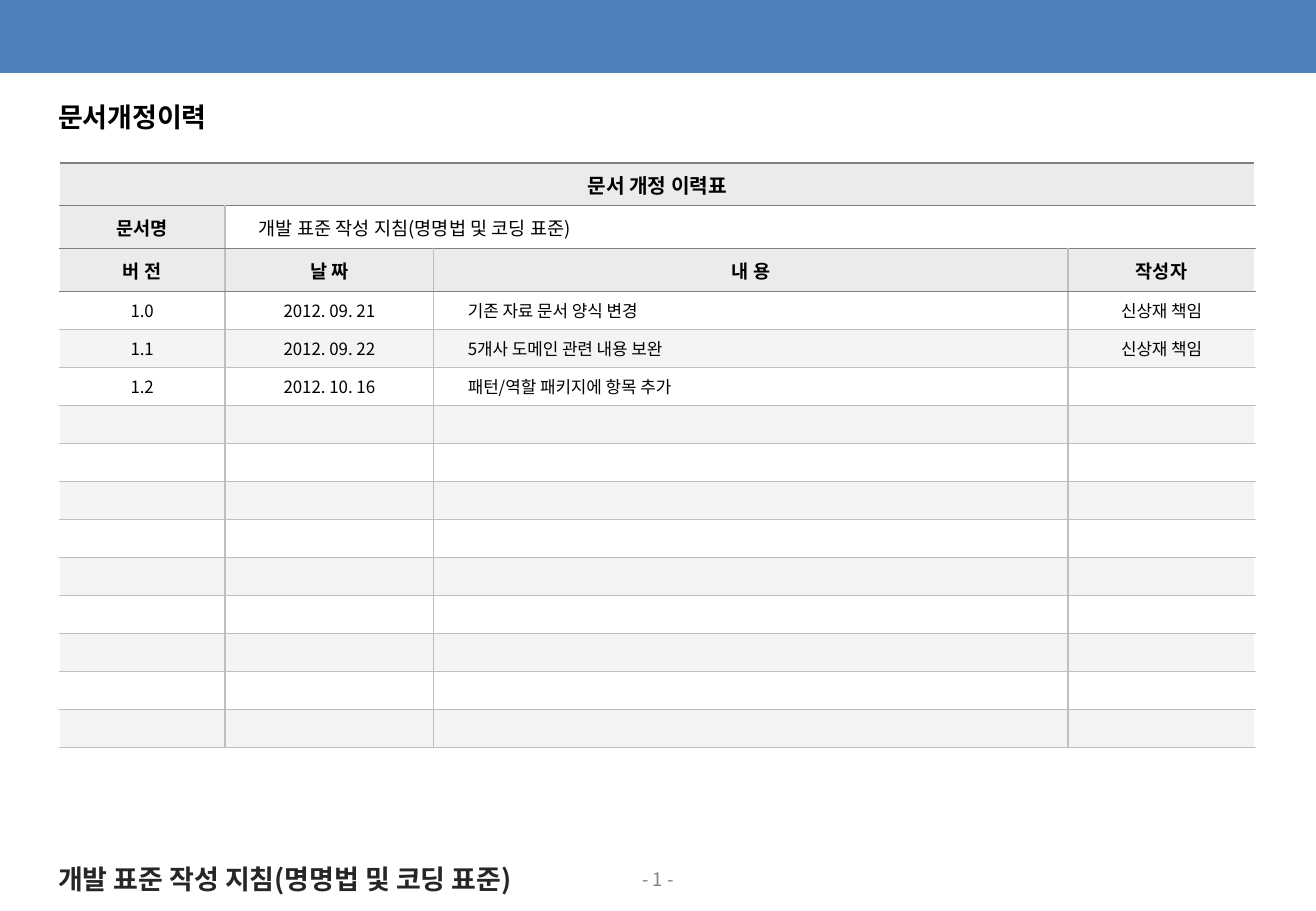
from lxml import etree
from pptx import Presentation
from pptx import util as u
from pptx.dml.color import RGBColor
from pptx.enum import shapes, text
from pptx.oxml import ns

FACE = "Noto Sans CJK KR"
BLUE = RGBColor(0x4F, 0x81, 0xBD)
BLACK = RGBColor(0, 0, 0)
INK = RGBColor(0x26, 0x26, 0x26)
GRAY = RGBColor(0x80, 0x80, 0x80)
LINE = RGBColor(0xBF, 0xBF, 0xBF)
WHITE = RGBColor(0xFF, 0xFF, 0xFF)
HEAD = RGBColor(0xE9, 0xEB, 0xED)
BAND = RGBColor(0xF3, 0xF4, 0xF5)

TITLE = "개발 표준 작성 지침(명명법 및 코딩 표준)"
WIDTHS = [1.36, 1.72, 5.22, 1.54]
TOPS = 3
COUNT = 15
ROWS = [
    ["문서 개정 이력표"],
    ["문서명", TITLE],
    ["버 전", "날 짜", "내 용", "작성자"],
    ["1.0", "2012. 09. 21", "기존 자료 문서 양식 변경", "신상재 책임"],
    ["1.1", "2012. 09. 22", "5개사 도메인 관련 내용 보완", "신상재 책임"],
    ["1.2", "2012. 10. 16", "패턴/역할 패키지에 항목 추가"],
]


def apply(item, form):
    """Set each format value on the item."""
    for key, value in form.items():
        setattr(item, key, value)


def write(para, words, size, color, bold):
    """Write one styled run into a paragraph."""
    run = para.add_run()
    run.text = words
    apply(run.font, {"size": u.Pt(size), "bold": bold, "name": FACE})
    run.font.color.rgb = color
    etree.SubElement(run._r.get_or_add_rPr(), ns.qn("a:ea"), typeface=FACE)


def label(slide, spot, words, size, color, bold=True, wrap=False, align=text.PP_ALIGN.LEFT):
    """Add a text box with a single line."""
    frame = slide.shapes.add_textbox(*map(u.Inches, spot)).text_frame
    apply(frame, {"word_wrap": wrap, "auto_size": text.MSO_AUTO_SIZE.SHAPE_TO_FIT_TEXT})
    frame.paragraphs[0].alignment = align
    write(frame.paragraphs[0], words, size, color, bold)


def banner(slide, width):
    """Add the blue band along the top edge."""
    band = slide.shapes.add_shape(shapes.MSO_SHAPE.RECTANGLE, 0, 0, width, u.Inches(0.6))
    band.shadow.inherit = False
    band.fill.solid()
    band.fill.fore_color.rgb = BLUE
    band.line.fill.background()


def border(cell, sides):
    """Draw the left, right, top and bottom lines of a cell."""
    props = cell._tc.get_or_add_tcPr()
    for spot, (side, color) in enumerate(sides.items()):
        line = etree.Element(ns.qn(f"a:ln{side}"), w=str(u.Pt(1)))
        fill = etree.SubElement(line, ns.qn("a:solidFill"))
        etree.SubElement(fill, ns.qn("a:srgbClr"), val=str(color))
        props.insert(spot, line)


def paint(cell, row, col):
    """Fill and frame a cell by its place in the grid."""
    shade = None
    if row < TOPS and (row, col) != (1, 1):
        shade = HEAD
    elif row > TOPS and row % 2 == 0:
        shade = BAND
    if shade is None:
        cell.fill.background()
    else:
        cell.fill.solid()
        cell.fill.fore_color.rgb = shade
    last = col + cell.span_width >= len(WIDTHS) if cell.is_merge_origin else col == len(WIDTHS) - 1
    border(cell, {
        "L": WHITE if col == 0 else LINE,
        "R": WHITE if last else LINE,
        "T": GRAY if row <= TOPS else LINE,
        "B": GRAY if row < TOPS else LINE,
    })


def enter(cell, row, col):
    """Put the text of a grid place into its cell."""
    left = (row, col) == (1, 1) or (row >= TOPS and col == 2)
    apply(cell, {
        "vertical_anchor": text.MSO_ANCHOR.MIDDLE,
        "margin_left": u.Inches(0.28 if left else 0.06),
        "margin_right": u.Inches(0.06),
        "margin_top": u.Inches(0.03),
        "margin_bottom": u.Inches(0.03),
    })
    para = cell.text_frame.paragraphs[0]
    para.alignment = text.PP_ALIGN.LEFT if left else text.PP_ALIGN.CENTER
    if row < len(ROWS) and col < len(ROWS[row]):
        size = 12 if row == 0 else 11 if row < TOPS else 10
        write(para, ROWS[row][col], size, BLACK, row < TOPS and not left)
    else:
        etree.SubElement(para._p, ns.qn("a:endParaRPr"), sz="1000")


def history(slide):
    """Add the table of document revisions."""
    spot = map(u.Inches, (0.49, 1.34, 9.84, 4.82))
    table = slide.shapes.add_table(COUNT, len(WIDTHS), *spot).table
    apply(table, {"first_row": False, "horz_banding": False})
    for col, width in zip(table.columns, WIDTHS):
        col.width = u.Inches(width)
    for row, line in enumerate(table.rows):
        line.height = u.Inches(1.06 / TOPS if row < TOPS else 3.76 / (COUNT - TOPS))
    table.cell(0, 0).merge(table.cell(0, 3))
    table.cell(1, 1).merge(table.cell(1, 3))
    for row in range(COUNT):
        for col in range(len(WIDTHS)):
            cell = table.cell(row, col)
            if not cell.is_spanned:
                paint(cell, row, col)
                enter(cell, row, col)


def main():
    """Build the revision history slide."""
    deck = Presentation()
    apply(deck, {"slide_width": u.Inches(10.83), "slide_height": u.Inches(7.5)})
    slide = deck.slides.add_slide(deck.slide_layouts[6])
    label(slide, (0, 7.1, 10.83, 0.29), "- 1 -", 11, GRAY, False, True, text.PP_ALIGN.CENTER)
    label(slide, (0.38, 7.05, 4.43, 0.37), TITLE, 16, INK)
    banner(slide, deck.slide_width)
    history(slide)
    label(slide, (0.38, 0.78, 1.55, 0.37), "문서개정이력", 16, BLACK)
    deck.save("out.pptx")


if __name__ == "__main__":
    main()
